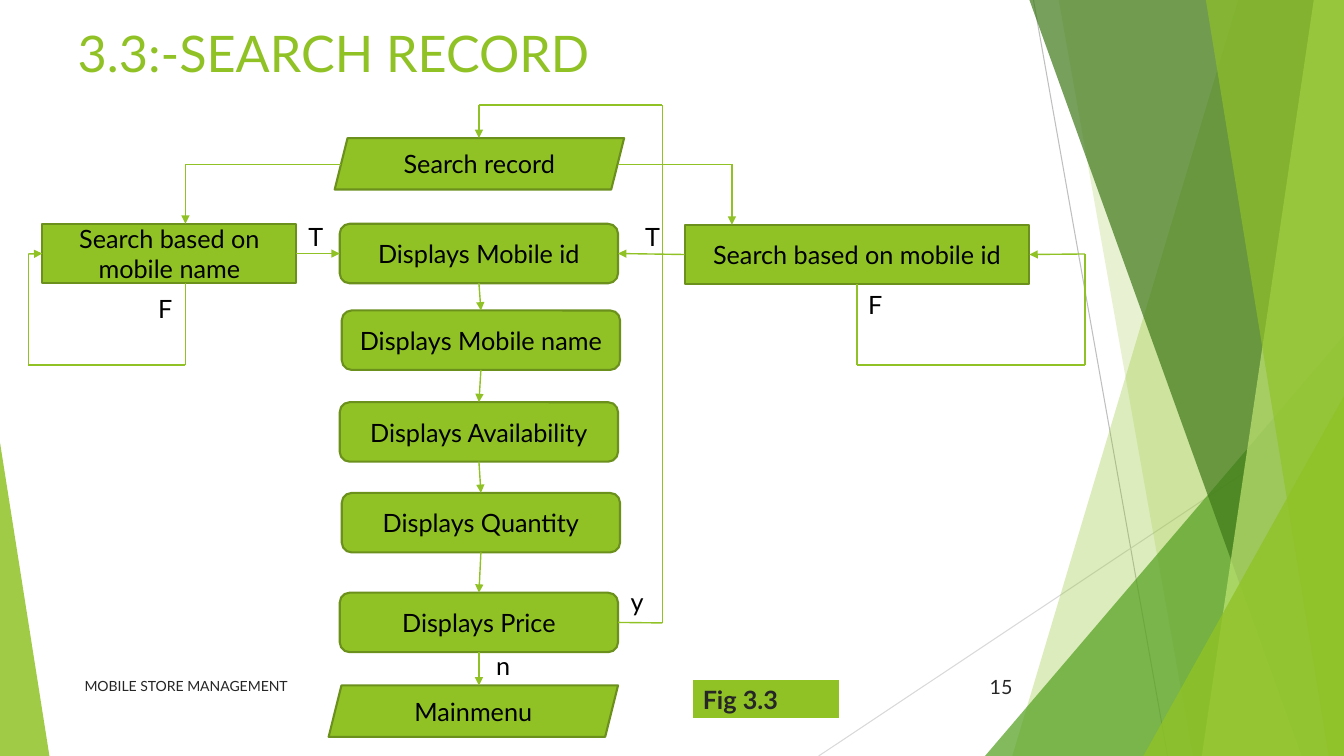
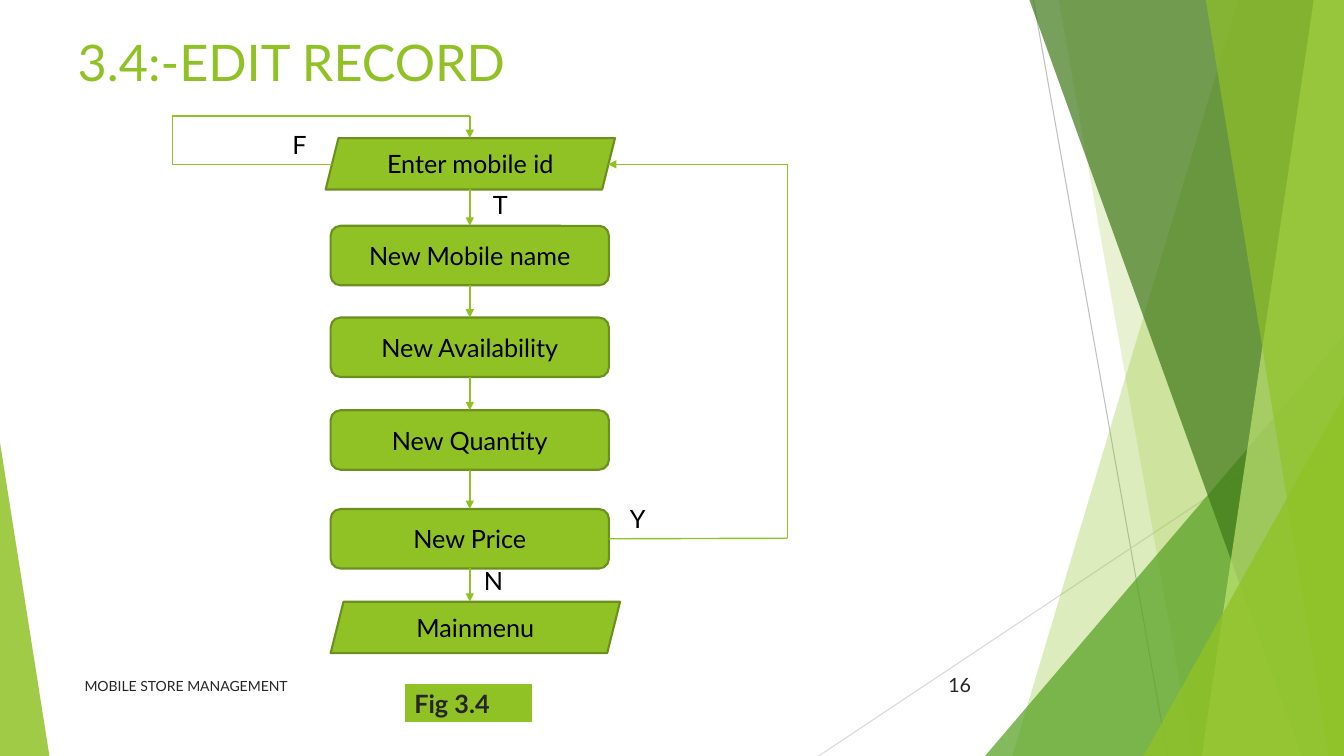
"""Builds two flowchart slides on a shared green faceted master."""
from lxml import etree
from pptx import Presentation
from pptx.dml.color import RGBColor
from pptx.enum.shapes import MSO_CONNECTOR, MSO_SHAPE
from pptx.enum.text import MSO_ANCHOR, MSO_AUTO_SIZE, PP_ALIGN
from pptx.oxml.ns import qn
from pptx.util import Inches, Pt

STRAIGHT = MSO_CONNECTOR.STRAIGHT
RECT = MSO_SHAPE.RECTANGLE
ROUND = MSO_SHAPE.ROUNDED_RECTANGLE
SLANT = MSO_SHAPE.PARALLELOGRAM
WEDGE = MSO_SHAPE.ISOSCELES_TRIANGLE
TOP, MIDDLE = MSO_ANCHOR.TOP, MSO_ANCHOR.MIDDLE
LEFT, CENTER, RIGHT = PP_ALIGN.LEFT, PP_ALIGN.CENTER, PP_ALIGN.RIGHT
NO_FIT = MSO_AUTO_SIZE.NONE

FONT = "Lato"
WIDE, HIGH = 13.33, 7.5
STEP_W, STEP_H = 2.76, 0.59
SLANT_W, SLANT_H = 2.87, 0.51
COLORS = {
    "green": "90C226", "edge": "6B901C", "leaf": "54A021", "dark": "3F7819",
    "lime": "C0E474", "gray": "BFBFBF", "pale": "D9D9D9",
    "ink": "262626", "black": "000000", "white": "FFFFFF",
}


def color(name):
    """Return the named colour."""
    return RGBColor.from_string(COLORS[name])


def box(x, y, w, h):
    """Return a box in slide units."""
    return [Inches(v) for v in (x, y, w, h)]


def write(frame, text, size, tint, align=LEFT, bold=False):
    """Put one styled paragraph into a text frame."""
    frame.text = text
    para = frame.paragraphs[0]
    para.alignment = align
    for run in para.runs:
        run.font.name = FONT
        run.font.size = Pt(size)
        run.font.bold = bold
        run.font.color.rgb = color(tint)


def paint(shape, tint, alpha=100):
    """Fill a shape without a shadow, see-through below 100 percent."""
    shape.shadow.inherit = False
    shape.fill.solid()
    shape.fill.fore_color.rgb = color(tint)
    if alpha < 100:
        mark = shape.element.spPr.find(".//" + qn("a:srgbClr"))
        etree.SubElement(mark, qn("a:alpha"), val=str(alpha * 1000))


def line(slide, start, end, tint="green", width=1, arrow=False):
    """Draw a line between points or (shape, side) joints."""
    free = [isinstance(stop[0], (int, float)) for stop in (start, end)]
    a = start if free[0] else (0, 0)
    b = end if free[1] else (0, 0)
    link = slide.shapes.add_connector(
        STRAIGHT, *[Inches(v) for v in (*a, *b)])
    if not free[0]:
        link.begin_connect(*start)
    if not free[1]:
        link.end_connect(*end)
    link.line.color.rgb = color(tint)
    link.line.width = Pt(width)
    props = link.element.spPr
    if arrow:
        etree.SubElement(props.find(qn("a:ln")), qn("a:tailEnd"),
                         type="triangle")
    etree.SubElement(props, qn("a:effectLst"))
    return link


def route(slide, x, y, *stops):
    """Draw a chain of lines from the origin x, y, ending in an arrow."""
    spots = [(x + s[0], y + s[1]) if isinstance(s[0], (int, float)) else s
             for s in stops]
    last = len(spots) - 2
    for i, pair in enumerate(zip(spots, spots[1:])):
        line(slide, *pair, arrow=i == last)


def facet(slide, top, base, tint, alpha):
    """Draw a full-height facet reaching the right edge."""
    pen = slide.shapes.build_freeform(Inches(top), 0)
    pen.add_line_segments([(Inches(x), Inches(y)) for x, y in (
        (WIDE, 0), (WIDE, HIGH), (base, HIGH))])
    shape = pen.convert_to_shape()
    paint(shape, tint, alpha)
    shape.line.fill.background()
    return shape


def wedge(slide, x, y, w, peak, tint, alpha):
    """Draw a triangle standing on the bottom edge."""
    shape = slide.shapes.add_shape(WEDGE, *box(x, y, w, HIGH - y))
    shape.adjustments[0] = peak
    paint(shape, tint, alpha)
    shape.line.fill.background()
    return shape


def backdrop(slide, master):
    """Draw the facets and move them to the master."""
    parts = [
        line(slide, (10.25, 0), (11.58, HIGH), "gray", 0.75),
        line(slide, (WIDE, 4.03), (8.12, HIGH), "pale", 0.75),
        facet(slide, 12.28, 10.04, "green", 30),
        facet(slide, 10.5, 11.83, "green", 20),
        wedge(slide, 9.77, 3.33, 3.56, 1, "leaf", 72),
        facet(slide, 10.21, 12.91, "dark", 70),
        facet(slide, 13.03, 11.92, "lime", 70),
        facet(slide, 11.96, 13.18, "green", 65),
        wedge(slide, 11.34, 3.93, 1.99, 1, "green", 80),
        wedge(slide, 0, 4.39, 0.49, 0, "green", 85),
    ]
    for i, part in enumerate(parts):
        master.shapes.element.insert(2 + i, part.element)


def heading(slide, text, y):
    """Place and style the title."""
    title = slide.shapes.title
    title.left, title.top, title.width, title.height = box(0.57, y, 9.26, 0.78)
    frame = title.text_frame
    write(frame, text, 36, "green")
    frame.auto_size = NO_FIT
    frame.vertical_anchor = TOP
    frame.margin_left = Inches(0.2)


def note(slide, area, text, size, align):
    """Place a line of footer text."""
    frame = slide.shapes.add_textbox(*box(*area)).text_frame
    frame.word_wrap = True
    frame.vertical_anchor = MIDDLE
    write(frame, text, size, "ink", align)


def footer(slide, number, x, y):
    """Place the footer and the page number at x, y."""
    note(slide, (x, y, 0.75, 0.4), number, 14, RIGHT)
    note(slide, (0.74, 6.61, 6.89, 0.4), "MOBILE STORE MANAGEMENT", 10, LEFT)


def caption(slide, text, x, y, w):
    """Place the figure caption as a one-cell table."""
    table = slide.shapes.add_table(1, 1, *box(x, y, w, 0.4)).table
    table.first_row = table.horz_banding = False
    cell = table.cell(0, 0)
    write(cell.text_frame, text, 18, "ink", bold=True)
    cell.fill.solid()
    cell.fill.fore_color.rgb = color("green")
    props = cell._tc.get_or_add_tcPr()
    for i, side in enumerate("LRTB"):
        width = Pt(3 if side == "B" else 1)
        rule = etree.Element(qn("a:ln" + side), w=str(width))
        fill = etree.SubElement(rule, qn("a:solidFill"))
        etree.SubElement(fill, qn("a:srgbClr"), val=COLORS["white"])
        props.insert(i, rule)


def node(slide, kind, text, x, y, w, h):
    """Draw one flowchart box."""
    shape = slide.shapes.add_shape(kind, *box(x, y, w, h))
    paint(shape, "green")
    shape.line.color.rgb = color("edge")
    shape.line.width = Pt(1.5)
    frame = shape.text_frame
    frame.word_wrap = True
    frame.vertical_anchor = MIDDLE
    write(frame, text, 18, "black", CENTER)
    return shape


def column(slide, x, y, head, steps, foot):
    """Draw head, linked steps and foot; return the step boxes."""
    node(slide, SLANT, head, x - 0.05, y, SLANT_W, SLANT_H)
    boxes = [node(slide, ROUND, text, x + dx, y + dy, STEP_W, STEP_H)
             for text, dx, dy in steps]
    text, dx, dy = foot
    node(slide, SLANT, text, x + dx, y + dy, SLANT_W, SLANT_H)
    for above, below in zip(boxes, boxes[1:]):
        route(slide, x, y, (above, 2), (below, 0))
    route(slide, x, y, (boxes[-1], 2), (STEP_W / 2, dy))
    return boxes


def labels(slide, x, y, items):
    """Place the branch letters."""
    for text, dx, dy in items:
        area = box(x + dx, y + dy, 0.34, 0.4)
        frame = slide.shapes.add_textbox(*area).text_frame
        frame.word_wrap = False
        write(frame, text, 18, "black", CENTER)


def search(slide, x, y):
    """Draw the search chart from the column's corner x, y."""
    steps = column(slide, x, y, "Search record", [
        ("Displays Mobile id", 0, 0.85),
        ("Displays Mobile name", 0.02, 1.71),
        ("Displays Availability", 0, 2.62),
        ("Displays Quantity", 0.02, 3.52),
        ("Displays Price", 0, 4.51),
    ], ("Mainmenu", -0.11, 5.43))
    name = node(slide, RECT, "Search based on mobile name",
                x - 2.95, y + 0.85, 2.52, STEP_H)
    code = node(slide, RECT, "Search based on mobile id",
                x + 3.42, y + 0.86, 3.42, STEP_H)
    mid = STEP_W / 2
    for stops in (
        [(0.01, 0.26), (-1.53, 0.26), (-1.53, 0.85)],
        [(2.76, 0.26), (3.89, 0.26), (3.89, 0.86)],
        [(name, 3), (steps[0], 1)],
        [(code, 1), (steps[0], 3)],
        [(steps[-1], 3), (3.2, 4.81), (3.2, -0.33), (mid, -0.33), (mid, 0)],
        [(-1.53, 1.44), (-1.53, 2.25), (-3.09, 2.25), (-3.09, 1.15),
         (name, 1)],
        [(code, 2), (5.13, 2.25), (7.39, 2.25), (7.39, 1.15), (code, 3)],
    ):
        route(slide, x, y, *stops)
    labels(slide, x, y, [
        ("y", 2.78, 4.4), ("n", 1.45, 5.03), ("T", 2.93, 0.78),
        ("F", 5.14, 1.45), ("F", -1.9, 1.49), ("T", -0.41, 0.78)])


def edit(slide, x, y):
    """Draw the edit chart from the column's corner x, y."""
    steps = column(slide, x, y, "Enter mobile id", [
        ("New Mobile name", 0, 0.87),
        ("New Availability", 0, 1.78),
        ("New Quantity", 0, 2.7),
        ("New Price", 0, 3.68),
    ], ("Mainmenu", 0, 4.6))
    mid = STEP_W / 2
    for stops in (
        [(mid, SLANT_H), (steps[0], 0)],
        [(steps[-1], 3), (4.53, 3.97), (4.53, 0.26), (2.75, 0.26)],
        [(0.01, 0.26), (-1.57, 0.26), (-1.57, -0.22), (mid, -0.22), (mid, 0)],
    ):
        route(slide, x, y, *stops)
    labels(slide, x, y, [
        ("T", 1.51, 0.46), ("F", -0.48, -0.14),
        ("Y", 2.87, 3.57), ("N", 1.42, 4.19)])


def main():
    """Build and save the deck."""
    deck = Presentation()
    deck.slide_width, deck.slide_height = Inches(WIDE), Inches(HIGH)
    plain = deck.slide_layouts[5]
    first, second = [deck.slides.add_slide(plain) for _ in range(2)]
    backdrop(first, deck.slide_master)

    heading(first, "3.3:-SEARCH RECORD", 0.17)
    search(first, 3.37, 1.37)
    caption(first, "Fig 3.3", 6.87, 6.74, 1.46)
    footer(first, "15", 9.39, 6.61)

    heading(second, "3.4:-EDIT RECORD", 0.26)
    edit(second, 3.28, 1.37)
    caption(second, "Fig 3.4", 4.01, 6.78, 1.27)
    footer(second, "16", 8.98, 6.59)
    deck.save("out.pptx")


if __name__ == "__main__":
    main()
